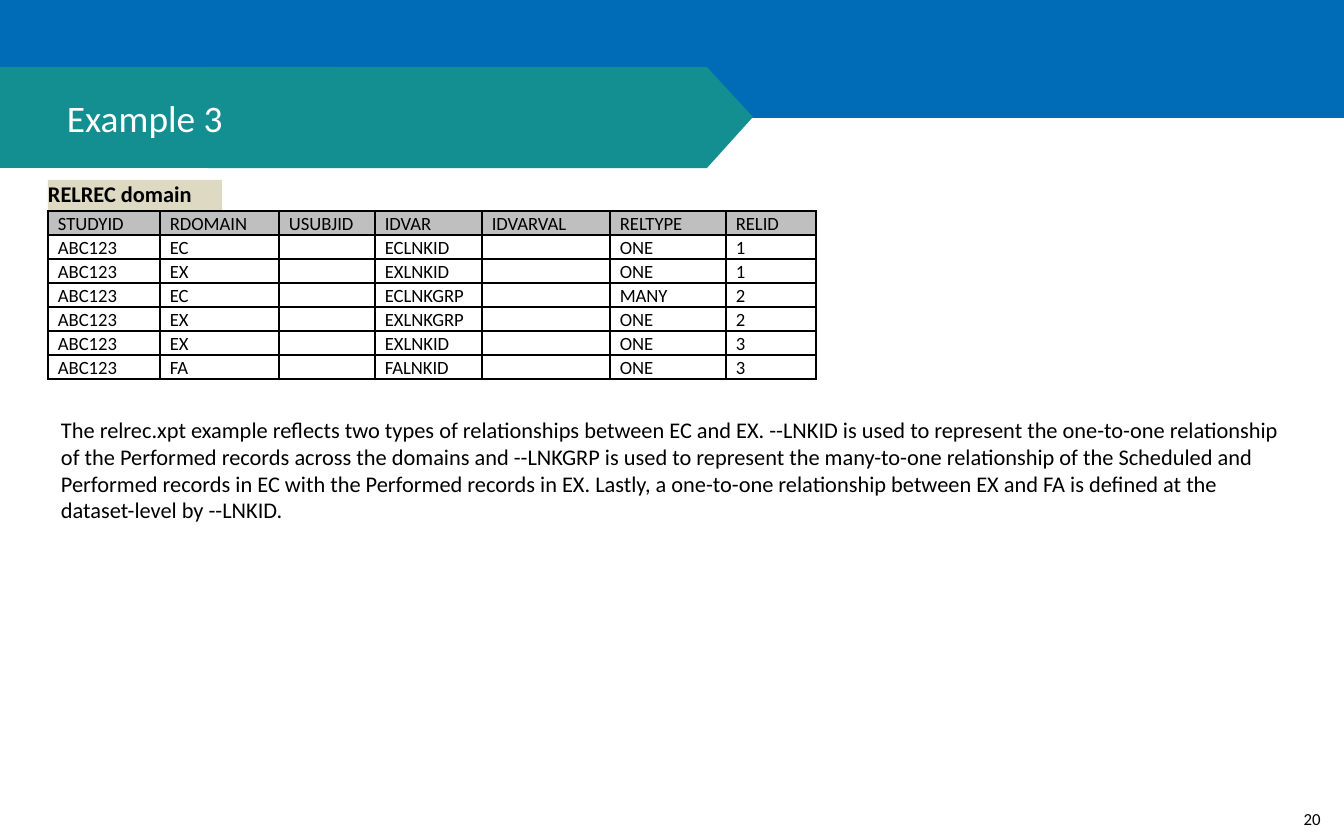
from dataclasses import dataclass
from lxml import etree
from pptx import Presentation, util as u
from pptx.dml.color import RGBColor
from pptx.enum import shapes, text
from pptx.oxml.ns import qn

SCALE = 914400 / 134.4
TEAL = "138F91"
BLACK = "000000"


@dataclass
class Box:
    x: int
    y: int
    w: int
    h: int


@dataclass
class Label:
    box: Box
    words: str
    size: int
    pad: tuple[int, int, int, int]
    ink: str = BLACK
    fill: str = ""
    bold: bool = False
    align: text.PP_ALIGN = text.PP_ALIGN.LEFT
    anchor: text.MSO_ANCHOR = text.MSO_ANCHOR.TOP


BANDS = [(Box(0, 0, 1344, 118), "006BB6"), (Box(0, 67, 331, 101), TEAL)]
ARROW = [(208, 67), (707, 67), (753, 117), (707, 168), (208, 168)]

NOTE = (
    "The relrec.xpt example reflects two types of relationships between EC and EX. "
    "--LNKID is used to represent the one-to-one relationship of the Performed records "
    "across the domains and --LNKGRP is used to represent the many-to-one relationship "
    "of the Scheduled and Performed records in EC with the Performed records in EX. "
    "Lastly, a one-to-one relationship between EX and FA is defined at the "
    "dataset-level by --LNKID."
)

LABELS = [
    Label(Box(1285, 802, 54, 34), "20", 9, (0, 7, 0, 7), align=text.PP_ALIGN.CENTER),
    Label(Box(48, 180, 174, 38), "RELREC domain", 12, (0, 0, 13, 7),
          fill="DDD9C3", bold=True),
    Label(Box(0, 67, 753, 101), "Example 3", 20, (67, 0, 0, 0),
          ink="FFFFFF", anchor=text.MSO_ANCHOR.MIDDLE),
    Label(Box(48, 409, 1255, 122), NOTE, 12, (13, 7, 13, 7)),
]

HEADS = ["STUDYID", "RDOMAIN", "USUBJID", "IDVAR", "IDVARVAL", "RELTYPE", "RELID"]
LINKS = [
    ("EC", "ECLNKID", "ONE", "1"),
    ("EX", "EXLNKID", "ONE", "1"),
    ("EC", "ECLNKGRP", "MANY", "2"),
    ("EX", "EXLNKGRP", "ONE", "2"),
    ("EX", "EXLNKID", "ONE", "3"),
    ("FA", "FALNKID", "ONE", "3"),
]
ROWS = [HEADS] + [["ABC123", dom, "", var, "", kind, rel]
                  for dom, var, kind, rel in LINKS]
WIDTHS = [112, 119, 96, 107, 128, 116, 90]
ROW_H = 24


def px(n: int) -> u.Emu:
    return u.Emu(round(n * SCALE))


def rgb(code: str) -> RGBColor:
    return RGBColor.from_string(code)


def place(box: Box) -> list[u.Emu]:
    return [px(n) for n in (box.x, box.y, box.w, box.h)]


def paint(shape, fill: str) -> None:
    shape.shadow.inherit = False
    shape.fill.solid()
    shape.fill.fore_color.rgb = rgb(fill)
    shape.line.fill.background()


def style(par, size: int, ink: str, bold: bool = False) -> None:
    par.font.name = "Calibri"
    par.font.size = u.Pt(size)
    par.font.bold = bold
    par.font.color.rgb = rgb(ink)


def inset(item, pad: tuple[int, int, int, int]) -> None:
    (item.margin_left, item.margin_top,
     item.margin_right, item.margin_bottom) = [px(n) for n in pad]


def write(slide, label: Label) -> None:
    box = slide.shapes.add_textbox(*place(label.box))
    if label.fill:
        box.fill.solid()
        box.fill.fore_color.rgb = rgb(label.fill)
    frame = box.text_frame
    frame.word_wrap = True
    frame.vertical_anchor = label.anchor
    inset(frame, label.pad)
    par = frame.paragraphs[0]
    par.text = label.words
    par.alignment = label.align
    style(par, label.size, label.ink, label.bold)


def border(cell) -> None:
    props = cell._tc.get_or_add_tcPr()
    for i, side in enumerate(("lnL", "lnR", "lnT", "lnB")):
        line = etree.Element(qn(f"a:{side}"), w=str(u.Pt(1)))
        fill = etree.SubElement(line, qn("a:solidFill"))
        etree.SubElement(fill, qn("a:srgbClr"), val=BLACK)
        props.insert(i, line)


def fill_cell(cell, words: str, head: bool) -> None:
    if head:
        cell.fill.solid()
        cell.fill.fore_color.rgb = rgb("BFBFBF")
    else:
        cell.fill.background()
    inset(cell, (10, 0, 10, 0))
    par = cell.text_frame.paragraphs[0]
    if words:
        par.text = words
    else:
        etree.SubElement(par._p, qn("a:endParaRPr"), sz="1000")
    par.line_spacing = 1.07
    style(par, 10, BLACK)
    border(cell)


def draw_table(slide) -> None:
    box = Box(48, 211, sum(WIDTHS), ROW_H * len(ROWS))
    table = slide.shapes.add_table(len(ROWS), len(WIDTHS), *place(box)).table
    table.first_row = table.horz_banding = False
    for col, wide in zip(table.columns, WIDTHS):
        col.width = px(wide)
    for i, row in enumerate(ROWS):
        table.rows[i].height = px(ROW_H)
        for j, words in enumerate(row):
            fill_cell(table.cell(i, j), words, i == 0)


def main() -> None:
    deck = Presentation()
    deck.slide_width, deck.slide_height = px(1344), px(840)
    slide = deck.slides.add_slide(deck.slide_layouts[6])
    for box, fill in BANDS:
        paint(slide.shapes.add_shape(shapes.MSO_SHAPE.RECTANGLE, *place(box)), fill)
    pen = slide.shapes.build_freeform(*ARROW[0], scale=SCALE)
    pen.add_line_segments(ARROW[1:], close=True)
    paint(pen.convert_to_shape(), TEAL)
    for label in LABELS:
        write(slide, label)
    draw_table(slide)
    deck.save("out.pptx")


if __name__ == "__main__":
    main()
